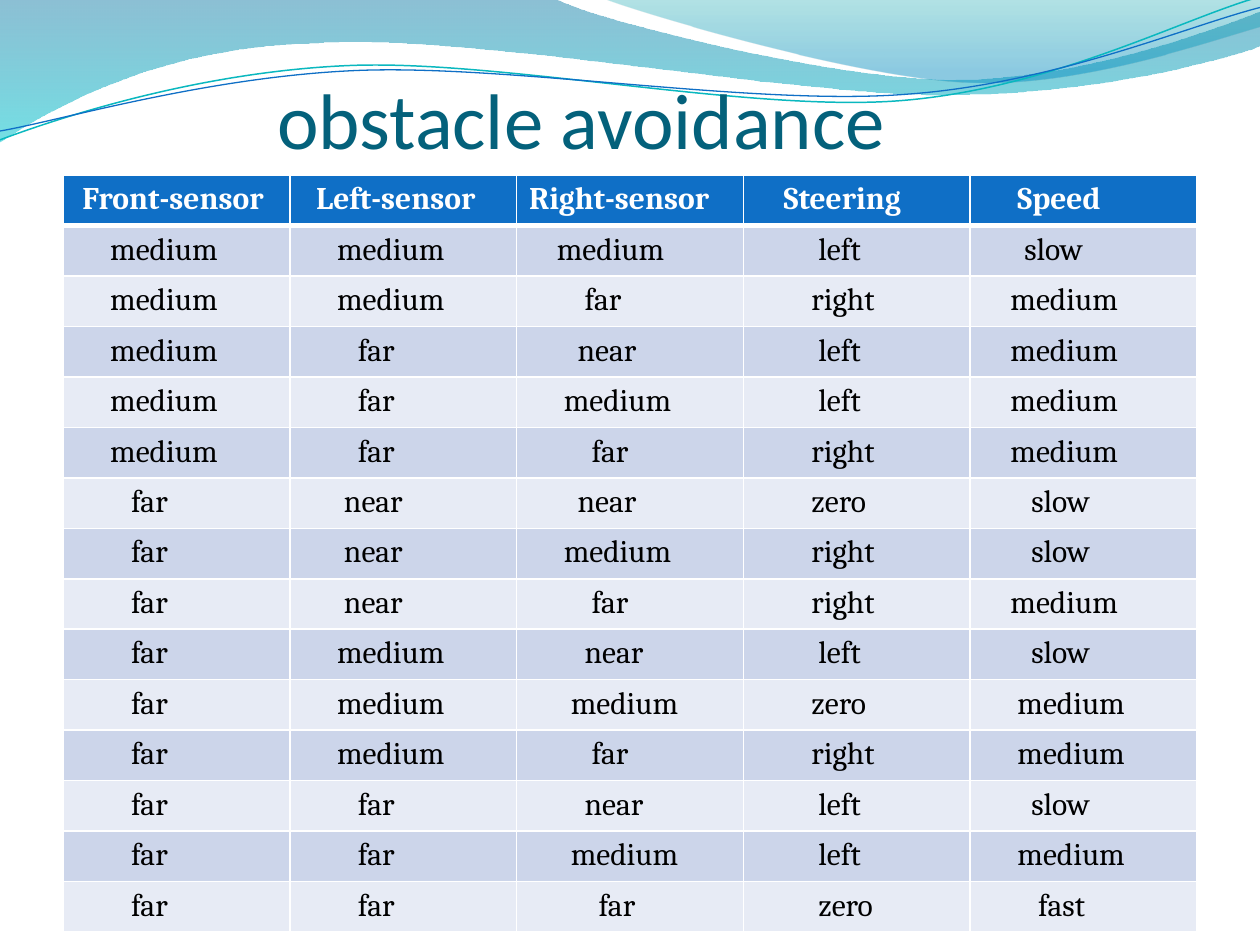
from dataclasses import dataclass
from math import cos, radians, sin
from typing import NamedTuple

from pptx import Presentation
from pptx.dml.color import RGBColor as Rgb
from pptx.enum.text import MSO_ANCHOR as Anchor
from pptx.oxml.ns import qn
from pptx.oxml.xmlchemy import OxmlElement as Element
from pptx.util import Emu, Inches, Pt


@dataclass(frozen=True)
class Theme:
    title_font: str = "Calibri"
    table_font: str = "Cambria"
    title_size: int = 45
    table_size: int = 18
    title: str = "04617B"
    header: str = "0F6FC6"
    bands: tuple = ("CCD5EA", "E7EBF5")
    white: str = "FFFFFF"
    text: str = "000000"
    indent_step: float = 0.055
    thin_border: float = 1
    thick_border: float = 3


class Stop(NamedTuple):
    position: float
    color: str
    opacity: int


class Wave(NamedTuple):
    start: tuple
    segments: tuple
    stops: tuple


class Ribbon(NamedTuple):
    start: tuple
    segments: tuple
    center: tuple
    color: str
    width: float


class Rule(NamedTuple):
    words: str
    indents: tuple


THEME = Theme()
TILT = -2.7

WAVES = (
    Wave((-0.01, -0.01), (
        ((4.4, -0.01),),
        ((4.76, 0.17), (6.64, 0.63), (7.58, 0.63)),
        ((8.53, 0.63), (9.58, 0.26), (10, 0.09)),
        ((10.01, 0.36),),
        ((9.83, 0.44), (8.7, 0.76), (7.46, 0.75)),
        ((6.22, 0.75), (3.82, 0.28), (2.57, 0.34)),
        ((1.29, 0.36), (0.46, 0.83), (-0.01, 1.13)),
    ), (Stop(0, "0074A1", 45), Stop(1, "00C6CF", 55))),
    Wave((4.79, -0.01), (
        ((5.09, 0.11), (6.82, 0.62), (7.69, 0.65)),
        ((8.56, 0.69), (9.61, 0.32), (10, 0.21)),
        ((10, 0),),
    ), (Stop(0, "00A1A9", 30), Stop(0.8, "008BBF", 45))),
)

RIBBONS = (
    Ribbon((0, 1.11), (
        ((0.48, 0.93), (1.58, 0.57), (2.77, 0.52)),
        ((3.95, 0.47), (5.93, 0.89), (7.13, 0.8)),
        ((8.33, 0.71), (9.38, 0.15), (9.98, -0.02)),
    ), (4.99, 0.58), "0AB8BF", 0.85),
    Ribbon((0, 1.04), (
        ((0.47, 0.96), (1.64, 0.61), (2.83, 0.56)),
        ((4.03, 0.51), (5.97, 0.84), (7.17, 0.75)),
        ((8.36, 0.67), (9.41, 0.21), (10, 0.06)),
    ), (5, 0.59), "0F6FC6", 0.75),
)

RULES = (
    Rule("Front-sensor Left-sensor Right-sensor Steering Speed", (1, 2, 0, 4, 5)),
    Rule("medium medium medium left slow", (5, 5, 4, 9, 6)),
    Rule("medium medium far right medium", (5, 5, 8, 8, 4)),
    Rule("medium far near left medium", (5, 8, 7, 9, 4)),
    Rule("medium far medium left medium", (5, 8, 5, 9, 4)),
    Rule("medium far far right medium", (5, 8, 9, 8, 4)),
    Rule("far near near zero slow", (8, 6, 7, 8, 7)),
    Rule("far near medium right slow", (8, 6, 5, 8, 7)),
    Rule("far near far right medium", (8, 6, 9, 8, 4)),
    Rule("far medium near left slow", (8, 5, 8, 9, 7)),
    Rule("far medium medium zero medium", (8, 5, 6, 8, 5)),
    Rule("far medium far right medium", (8, 5, 9, 8, 5)),
    Rule("far far near left slow", (8, 8, 8, 9, 7)),
    Rule("far far medium left medium", (8, 8, 6, 9, 5)),
    Rule("far far far zero fast", (8, 8, 10, 9, 8)),
)


def rgb(color: str) -> Rgb:
    return Rgb.from_string(color)


def draw_curve(slide, start: tuple, segments: tuple, closed: bool):
    def emu(point: tuple) -> tuple:
        return Inches(point[0]), Inches(point[1])

    builder = slide.shapes.build_freeform(*emu(start))
    points = [emu(point) for segment in segments for point in segment]
    builder.add_line_segments(points, close=closed)
    shape = builder.convert_to_shape()
    shape.shadow.inherit = False
    outline = shape._element.find(".//" + qn("a:path"))
    lines = iter(outline.findall(qn("a:lnTo")))
    for segment in segments:
        steps = [next(lines) for _ in segment]
        if len(steps) == 3:
            curve = Element("a:cubicBezTo")
            steps[0].addprevious(curve)
            for step in steps:
                curve.append(step[0])
                outline.remove(step)
    return shape


def draw_wave(slide, wave: Wave) -> None:
    shape = draw_curve(slide, wave.start, wave.segments, True)
    shape.line.fill.background()
    shape.fill.gradient()
    shape.fill.gradient_angle = 270
    for gradient_stop, stop in zip(shape.fill.gradient_stops, wave.stops):
        gradient_stop.position = stop.position
        gradient_stop.color.rgb = rgb(stop.color)
    for color, stop in zip(shape._element.spPr.iter(qn("a:srgbClr")), wave.stops):
        alpha = Element("a:alpha")
        alpha.set("val", str(stop.opacity * 1000))
        color.append(alpha)


def draw_ribbon(slide, ribbon: Ribbon) -> None:
    angle = radians(-TILT)
    center_x, center_y = ribbon.center

    def level(point: tuple) -> tuple:
        dx, dy = point[0] - center_x, point[1] - center_y
        return (center_x + dx * cos(angle) - dy * sin(angle),
                center_y + dx * sin(angle) + dy * cos(angle))

    segments = tuple(tuple(map(level, segment)) for segment in ribbon.segments)
    shape = draw_curve(slide, level(ribbon.start), segments, False)
    shape.rotation = TILT
    shape.fill.background()
    shape.line.color.rgb = rgb(ribbon.color)
    shape.line.width = Pt(ribbon.width)


def style_run(run, font: str, size: int, color: str, bold: bool = False) -> None:
    run.font.name = font
    run.font.size = Pt(size)
    run.font.color.rgb = rgb(color)
    run.font.bold = bold


def draw_title(slide, title: str) -> None:
    heading = slide.shapes.add_textbox(Inches(0.5), Inches(0.77), Inches(9), Inches(0.54))
    frame = heading.text_frame
    frame.word_wrap = True
    frame.vertical_anchor = Anchor.BOTTOM
    frame.margin_left, frame.margin_top = Inches(1.7), Inches(0.05)
    frame.margin_right = frame.margin_bottom = 0
    frame.text = title
    style_run(frame.paragraphs[0].runs[0], THEME.title_font, THEME.title_size, THEME.title)


def set_borders(cell, top: float, bottom: float) -> None:
    sides = {"L": THEME.thin_border, "R": THEME.thin_border, "T": top, "B": bottom}
    for position, (side, width) in enumerate(sides.items()):
        border = Element(f"a:ln{side}")
        border.set("w", str(Pt(width)))
        solid, color = Element("a:solidFill"), Element("a:srgbClr")
        color.set("val", THEME.white)
        solid.append(color)
        border.append(solid)
        cell._tc.get_or_add_tcPr().insert(position, border)


def draw_rules(slide, rules: tuple) -> None:
    frame = slide.shapes.add_table(len(rules), 5, Inches(0.5), Inches(1.39), Inches(9), Inches(6))
    for index, (row, rule) in enumerate(zip(frame.table.rows, rules)):
        row.height = Inches(0.38)
        header = index == 0
        fill = THEME.header if header else THEME.bands[(index - 1) % 2]
        top = THEME.thick_border if index == 1 else THEME.thin_border
        bottom = THEME.thick_border if header else THEME.thin_border
        for cell, word, indent in zip(row.cells, rule.words.split(), rule.indents):
            cell.text_frame.text = word
            cell.margin_left = Emu(Inches(0.1) + Inches(indent * THEME.indent_step))
            cell.fill.solid()
            cell.fill.fore_color.rgb = rgb(fill)
            set_borders(cell, top, bottom)
            style_run(cell.text_frame.paragraphs[0].runs[0], THEME.table_font,
                      THEME.table_size, THEME.white if header else THEME.text, header)
    frame.height = Inches(6)


def main() -> None:
    deck = Presentation()
    deck.slide_width, deck.slide_height = Inches(10), Inches(7.5)
    slide = deck.slides.add_slide(deck.slide_layouts[6])
    for wave in WAVES:
        draw_wave(slide, wave)
    for ribbon in RIBBONS:
        draw_ribbon(slide, ribbon)
    draw_title(slide, "obstacle avoidance")
    draw_rules(slide, RULES)
    deck.save("out.pptx")


if __name__ == "__main__":
    main()
